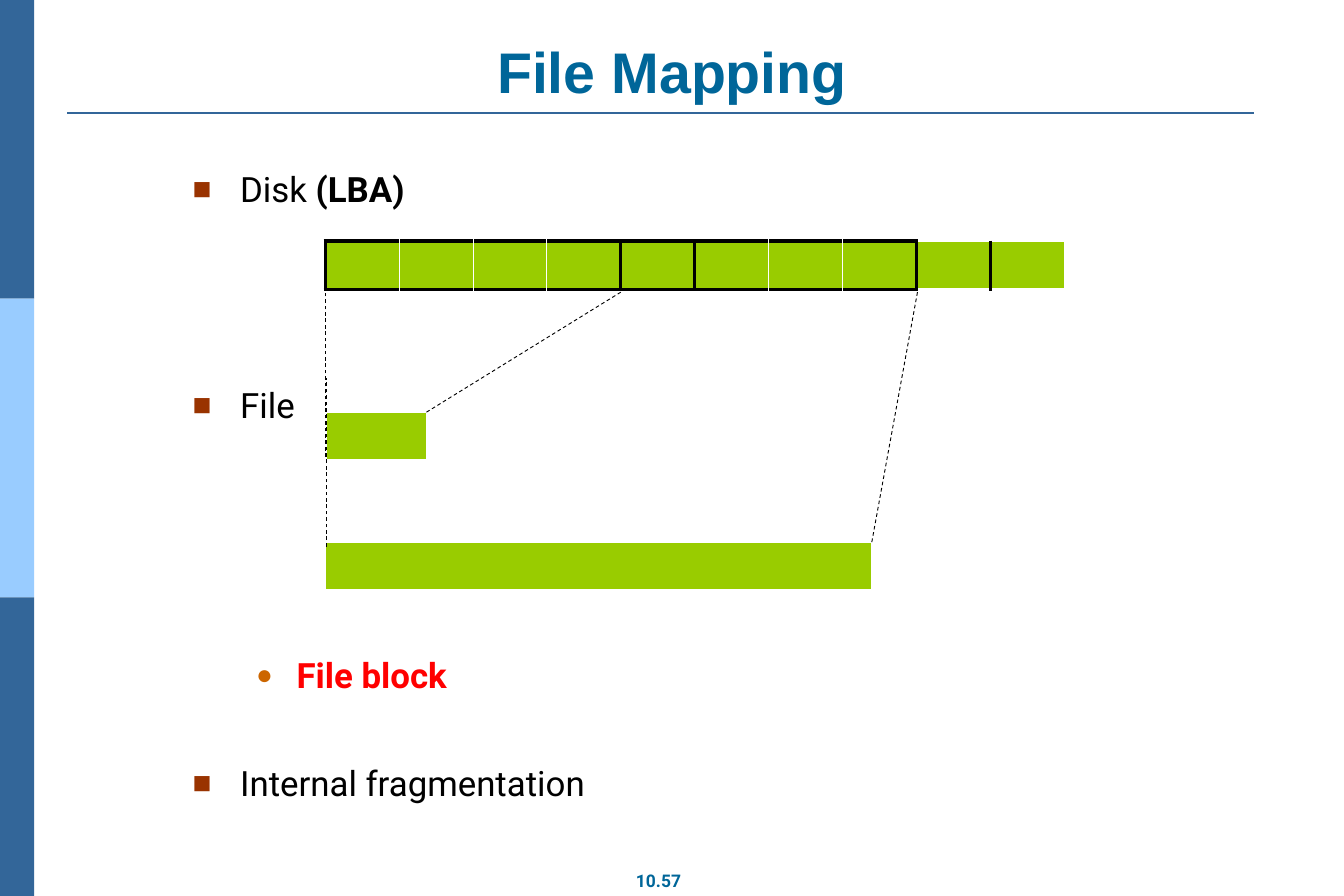
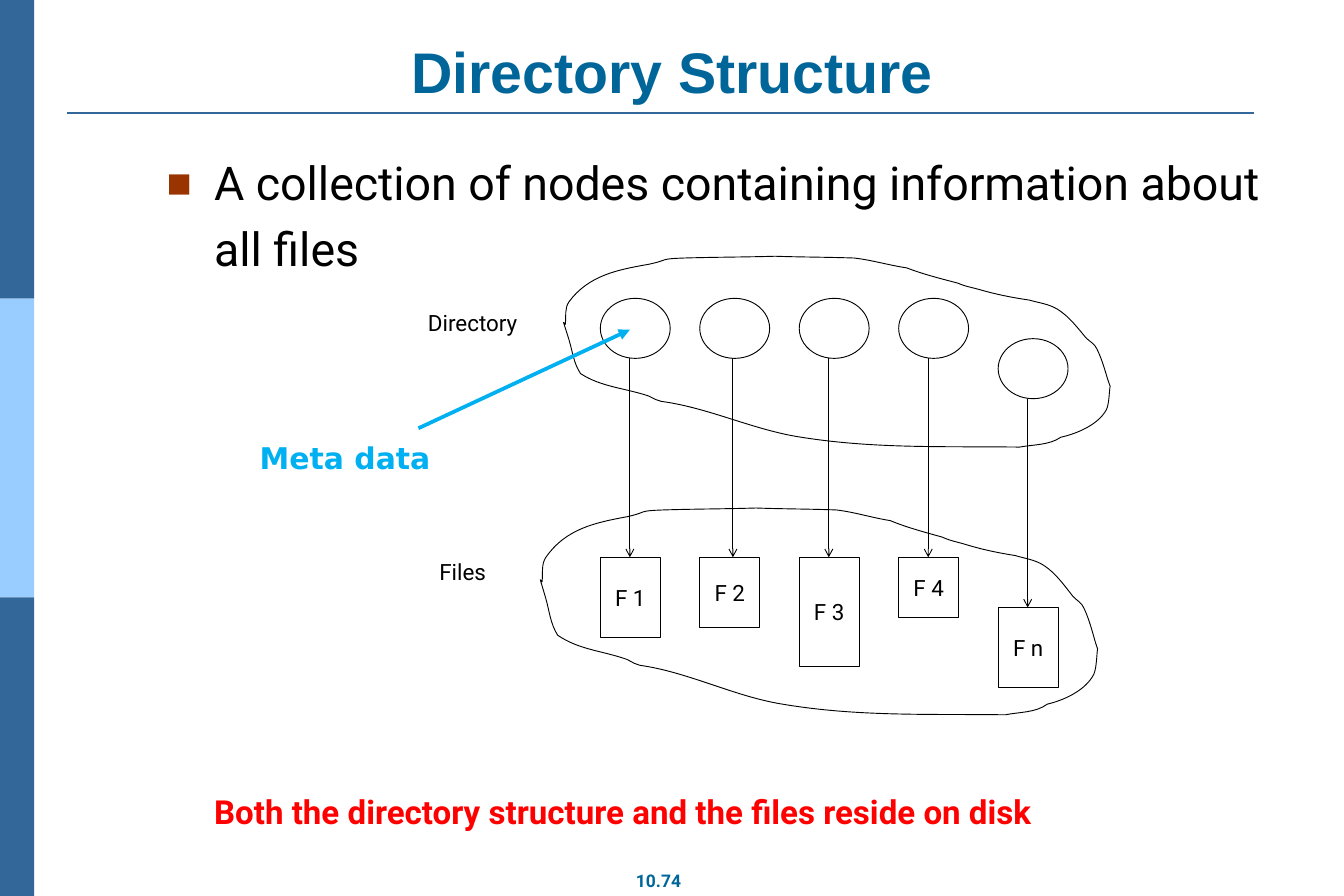
from lxml import etree
from pptx import Presentation
from pptx.dml.color import RGBColor
from pptx.enum.dml import MSO_LINE
from pptx.enum.shapes import MSO_CONNECTOR, MSO_SHAPE
from pptx.enum.text import MSO_ANCHOR, PP_ALIGN
from pptx.oxml.ns import qn
from pptx.util import Inches, Pt

RECT, OVAL = MSO_SHAPE.RECTANGLE, MSO_SHAPE.OVAL
LINE, DASH = MSO_CONNECTOR.STRAIGHT, MSO_LINE.DASH
LEFT, MID = PP_ALIGN.LEFT, PP_ALIGN.CENTER
TOP, CENTER, BOTTOM = MSO_ANCHOR.TOP, MSO_ANCHOR.MIDDLE, MSO_ANCHOR.BOTTOM

NAVY = RGBColor(0x33, 0x66, 0x99)
SKY = RGBColor(0x99, 0xCC, 0xFF)
TEAL = RGBColor(0x00, 0x66, 0x99)
BLACK = RGBColor(0, 0, 0)
WHITE = RGBColor(0xFF, 0xFF, 0xFF)
RED = RGBColor(0xFF, 0, 0)
GREEN = RGBColor(0x99, 0xCC, 0)
CYAN = RGBColor(0, 0xB0, 0xF0)
BRICK = RGBColor(0x99, 0x33, 0)
AMBER = RGBColor(0xCC, 0x66, 0)

SQUARE = ("■", BRICK, 90)
DOT = ("●", AMBER, 80)
WIDE = (0.14, 0.07)
SLIM = (0.1, 0.05)

BLOB_SIZE = (6.1, 2.15)
BLOB_START = (0.02, 0.76)
BLOB = [
    (0.03, 0.67, 0.01, 0.58, 0.06, 0.51),
    (0.28, 0.21, 0.61, 0.15, 0.95, 0.09),
    (1.19, 0.04, 1.05, 0.03, 1.35, 0.02),
    (1.68, 0.01, 2.02, 0.01, 2.36, 0),
    (2.65, 0.01, 2.95, 0.01, 3.24, 0.02),
    (3.43, 0.04, 3.63, 0.1, 3.83, 0.13),
    (4.01, 0.2, 4.21, 0.25, 4.4, 0.3),
    (4.49, 0.34, 4.57, 0.35, 4.67, 0.38),
    (4.85, 0.43, 5, 0.46, 5.2, 0.49),
    (5.3, 0.52, 5.41, 0.53, 5.51, 0.59),
    (5.64, 0.67, 5.73, 0.79, 5.83, 0.91),
    (5.87, 0.95, 5.93, 0.98, 5.95, 1.03),
    (6, 1.13, 6.03, 1.23, 6.06, 1.33),
    (6.07, 1.37, 6.1, 1.45, 6.1, 1.45),
    (6.09, 1.51, 6.09, 1.64, 6.06, 1.71),
    (5.97, 1.88, 5.73, 1.98, 5.55, 2.02),
    (5.42, 2.11, 5.25, 2.1, 5.09, 2.13),
    (4.24, 2.12, 3.47, 2.15, 2.65, 2.02),
    (2.12, 1.94, 1.62, 1.69, 1.09, 1.62),
    (1.07, 1.61, 1.05, 1.61, 1.03, 1.6),
    (1, 1.59, 0.98, 1.57, 0.95, 1.56),
    (0.68, 1.47, 0.42, 1.46, 0.19, 1.31),
    (0.11, 1.19, 0.1, 1.06, 0.06, 0.93),
    (0.06, 0.93, 0.01, 0.77, 0, 0.74),
    (0, 0.73, 0.01, 0.75, 0.02, 0.76),
]
NODES = [("F 1", 0, 0.89, 0.33), ("F 2", 0, 0.78, 0.37), ("F 3", 0, 1.22, 0.33),
         ("F 4", 0, 0.67, 0.33), ("F n", 1, 0.89, 0.33)]


def place(box):
    return [Inches(n) for n in box]


def style(para, size, color, bold=False, face="Roboto"):
    font = para.font
    font.size, font.bold, font.name = Pt(size), bold, face
    font.color.rgb = color


def label(slide, box, text, size, color, bold=False, face="Roboto", align=LEFT,
          anchor=TOP, inset=SLIM, wrap=True):
    frame = slide.shapes.add_textbox(*place(box)).text_frame
    frame.word_wrap, frame.vertical_anchor = wrap, anchor
    frame.margin_left = frame.margin_right = Inches(inset[0])
    frame.margin_top = frame.margin_bottom = Inches(inset[1])
    para = frame.paragraphs[0]
    para.text, para.alignment = text, align
    style(para, size, color, bold, face)


def indent(para, left, hang, mark=None):
    props = para._p.get_or_add_pPr()
    props.set("marL", str(Inches(left)))
    props.set("indent", str(Inches(-hang)))
    if mark:
        char, color, size = mark
        tint = etree.SubElement(props, qn("a:buClr"))
        etree.SubElement(tint, qn("a:srgbClr"), val=str(color))
        etree.SubElement(props, qn("a:buSzPct"), val=str(size * 1000))
        etree.SubElement(props, qn("a:buFont"), typeface="Arial")
        etree.SubElement(props, qn("a:buChar"), char=char)


def body(slide, box, items, size, pitch=None):
    frame = slide.shapes.add_textbox(*place(box)).text_frame
    frame.word_wrap = True
    frame.margin_left = frame.margin_right = Inches(WIDE[0])
    frame.margin_top = frame.margin_bottom = Inches(WIDE[1])
    for i, (text, gap, left, hang, mark, color, bold) in enumerate(items):
        para = frame.add_paragraph() if i else frame.paragraphs[0]
        indent(para, left, hang, mark)
        para.text = text
        if gap:
            para.space_before = Pt(gap)
        if pitch:
            para.line_spacing = pitch
        style(para, size, color, bold)
    return frame


def shape(slide, kind, box, fill, line=None):
    item = slide.shapes.add_shape(kind, *place(box))
    item.shadow.inherit = False
    item.fill.solid()
    item.fill.fore_color.rgb = fill
    if line is None:
        item.line.fill.background()
    else:
        item.line.color.rgb = line
        item.line.width = Pt(0.75)
    return item


def link(slide, start, end, color=BLACK, width=0.75, dash=None, head=None):
    item = slide.shapes.add_connector(LINE, *place(start + end))
    item.line.color.rgb = color
    item.line.width = Pt(width)
    if dash:
        item.line.dash_style = dash
    if head:
        etree.SubElement(item.line._get_or_add_ln(), qn("a:tailEnd"), type=head)
    etree.SubElement(item._element.spPr, qn("a:effectLst"))


def frame_slide(deck, title, number):
    slide = deck.slides.add_slide(deck.slide_layouts[6])
    third = 10 / 3
    for i, color in enumerate((NAVY, SKY, NAVY)):
        shape(slide, RECT, (0, i * third, 0.38, third), color)
    link(slide, (0.75, 1.26), (14, 1.26), NAVY, 1.5)
    label(slide, (6.95, 9.64, 0.8, 0.38), number, 14, TEAL, True,
          align=MID, inset=WIDE, wrap=False)
    label(slide, (0.75, 0.4, 13.5, 0.84), title, 46, TEAL, True, "Arial",
          MID, BOTTOM, WIDE)
    return slide


def edge(cell, side, color, width):
    line = etree.SubElement(cell._tc.get_or_add_tcPr(), qn("a:" + side),
                            w=str(Pt(width)))
    fill = etree.SubElement(line, qn("a:solidFill"))
    etree.SubElement(fill, qn("a:srgbClr"), val=str(color))


def strip(slide, box, count=1, bars=(), framed=0):
    table = slide.shapes.add_table(1, count, *place(box)).table
    table.first_row = table.horz_banding = False
    for i in range(count):
        table.columns[i].width = Inches(box[2] / count)
        cell = table.cell(0, i)
        for side, at in (("lnL", i), ("lnR", i + 1)):
            edge(cell, side, *((BLACK, 3) if at in bars else (WHITE, 1)))
        dark = i < framed
        edge(cell, "lnT", *((BLACK, 3) if dark else (WHITE, 1)))
        edge(cell, "lnB", BLACK if dark else WHITE, 3)
        cell.fill.solid()
        cell.fill.fore_color.rgb = GREEN


def mapping(slide, left, top):
    high, low = top + 1.91, top + 3.36
    strip(slide, (left, top, 8.25, 0.54), 10, (0, 4, 5, 8, 9), 8)
    strip(slide, (left, low, 6.1, 0.54))
    strip(slide, (left + 0.01, high, 1.12, 0.54))
    for start, end in (((0, 2.41), (0, 0.53)), ((6.1, 3.36), (6.61, 0.57)),
                       ((1.13, 1.91), (3.3, 0.57)), ((0.01, 3.41), (0.01, 1.53))):
        link(slide, (left + start[0], top + start[1]),
             (left + end[0], top + end[1]), dash=DASH)


def blob(slide, box):
    left, top, width, height = box

    def spot(x, y):
        return (Inches(left + x * width / BLOB_SIZE[0]),
                Inches(top + y * height / BLOB_SIZE[1]))

    points = [spot(*curve[i:i + 2]) for curve in BLOB for i in (0, 2, 4)]
    pen = slide.shapes.build_freeform(*spot(*BLOB_START))
    pen.add_line_segments(points, close=True)
    item = pen.convert_to_shape()
    legs = list(item._element.iter(qn("a:lnTo")))
    for i in range(0, len(legs), 3):
        curve = etree.Element(qn("a:cubicBezTo"))
        legs[i].addprevious(curve)
        for leg in legs[i:i + 3]:
            curve.append(leg[0])
            leg.getparent().remove(leg)
    item.shadow.inherit = False
    item.fill.background()
    item.line.color.rgb = BLACK
    item.line.width = Pt(0.75)


def tree(slide, left, top):
    for i, (name, drop, tall, lead) in enumerate(NODES):
        x = left + i * 1.11
        node, leaf = top + drop * 0.45, top + 2.89 + drop * 0.56
        shape(slide, OVAL, (x, node, 0.78, 0.67), WHITE, BLACK)
        card = shape(slide, RECT, (x, leaf, 0.67, tall), WHITE, BLACK)
        frame = card.text_frame
        frame.word_wrap, frame.vertical_anchor = False, CENTER
        para = frame.paragraphs[0]
        para.text, para.alignment = name, MID
        style(para, 18, BLACK)
        link(slide, (x + lead, node + 0.67), (x + lead, leaf), head="arrow")
    blob(slide, (left - 0.41, top - 0.47, 6.1, 2.15))
    blob(slide, (left - 0.67, top + 2.34, 6.22, 2.33))
    for text, box in (("Directory", (left - 2.03, top + 0.07, 1.21, 0.4)),
                      ("Files", (left - 1.9, top + 2.85, 0.73, 0.4))):
        label(slide, box, text, 18, BLACK, align=MID, anchor=CENTER, wrap=False)
    link(slide, (left - 2.03, top + 1.45), (left + 0.33, top + 0.35), CYAN, 3,
         head="triangle")
    label(slide, (left - 3.9, top + 1.53, 3.5, 0.5), "Meta data", 24, CYAN, True,
          "DejaVu Sans")


def file_slide(deck):
    slide = frame_slide(deck, "File Mapping", "10.57")
    frame = body(slide, (2.01, 1.8, 11.49, 7.4), [
        ("Disk ", 0, 0.53, 0.53, SQUARE, BLACK, False),
        ("File", 140, 0.53, 0.53, SQUARE, BLACK, False),
        ("File block", 183.3, 1.16, 0.45, DOT, RED, True),
        ("Internal fragmentation", 53.3, 0.53, 0.53, SQUARE, BLACK, False),
    ], 28)
    run = frame.paragraphs[0].add_run()
    run.text, run.font.bold = "(LBA)", True
    mapping(slide, 3.63, 2.69)


def tree_slide(deck):
    slide = frame_slide(deck, "Directory Structure", "10.74")
    body(slide, (1.72, 1.72, 13, 1.5), [
        ("A collection of nodes containing information about", 0, 0.53, 0.53,
         SQUARE, BLACK, False),
        ("all files", 12.8, 0.53, 0, None, BLACK, False),
    ], 37.33, 0.9)
    tree(slide, 6.7, 3.33)
    label(slide, (2.29, 8.78, 11.09, 0.56),
          "Both the directory structure and the files reside on disk", 26.6, RED, True)


def main():
    deck = Presentation()
    deck.slide_width, deck.slide_height = Inches(15), Inches(10)
    file_slide(deck)
    tree_slide(deck)
    deck.save("out.pptx")


if __name__ == "__main__":
    main()
